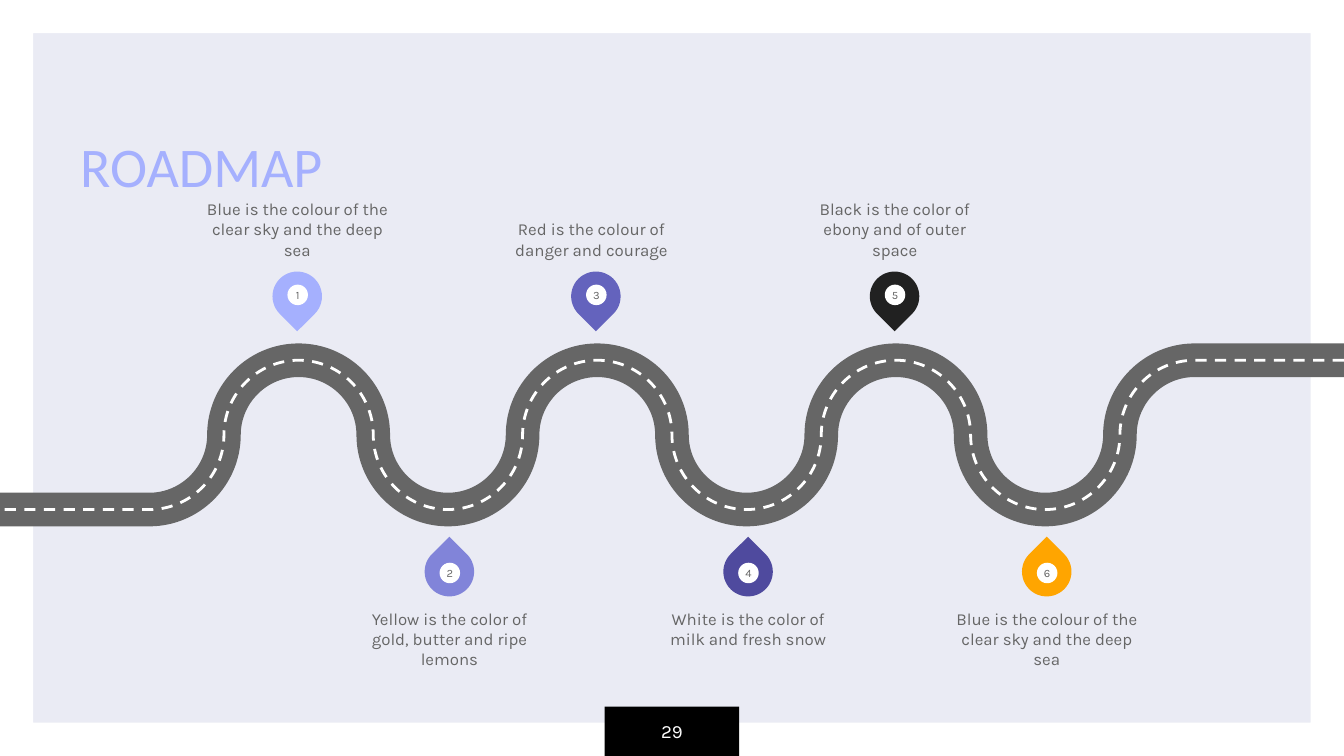
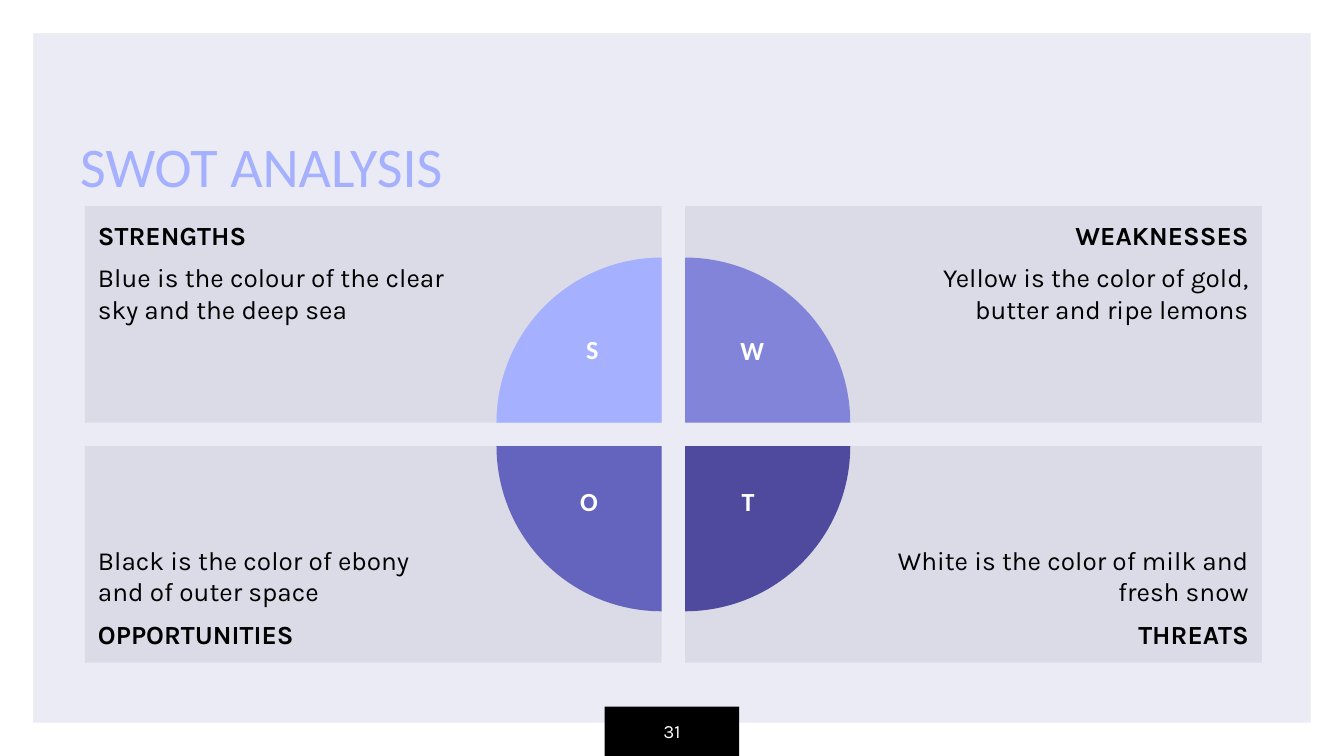
"""Build a roadmap slide and a SWOT slide."""
import dataclasses

import pptx
import pptx.dml.color
import pptx.enum.dml
import pptx.enum.shapes
import pptx.enum.text
import pptx.oxml
import pptx.oxml.ns
import pptx.util

PRESET = pptx.enum.shapes.MSO_SHAPE
ALIGN = pptx.enum.text.PP_ALIGN
ANCHOR = pptx.enum.text.MSO_ANCHOR
DASH = pptx.enum.dml.MSO_LINE.DASH
EMU_PER_PX = 6350


@dataclasses.dataclass(frozen=True)
class Theme:
    """Colours, fonts and type sizes shared by the slides."""

    ground: str = "EAEBF4"
    panel: str = "DADBE6"
    white: str = "FFFFFF"
    black: str = "000000"
    grey: str = "666666"
    periwinkle: str = "A5B0FE"
    lavender: str = "8184D9"
    violet: str = "6463BD"
    indigo: str = "4F4A9E"
    ink: str = "212121"
    orange: str = "FFA500"
    heading: str = "Calibri"
    body: str = "Karla"
    title_size: int = 30
    text_size: int = 14
    page_size: int = 10
    caption_size: int = 9
    pin_size: int = 6


@dataclasses.dataclass(frozen=True)
class Box:
    """A region of the slide in px."""

    x: int
    y: int
    w: int
    h: int

    def emu(self):
        """Return the box as left, top, width and height in EMU."""
        return [px(n) for n in (self.x, self.y, self.w, self.h)]


THEME = Theme()
SLIDE = Box(0, 0, 1440, 810)
PAD = 14

STOPS = [
    ("Blue is the colour of the clear sky and the deep sea", THEME.periwinkle, 0),
    ("Yellow is the color of gold, butter and ripe lemons", THEME.lavender, 0),
    ("Red is the colour of danger and courage", THEME.violet, -5),
    ("White is the color of milk and fresh snow", THEME.indigo, 0),
    ("Black is the color of ebony and of outer space", THEME.ink, 0),
    ("Blue is the colour of the clear sky and the deep sea", THEME.orange, 0),
]

QUADRANTS = [
    ("S", "STRENGTHS", "Blue is the colour of the clear sky and the deep sea",
     THEME.periwinkle, 0, 0, 0, Box(-75, -103, 40, 68)),
    ("W", "WEAKNESSES", "Yellow is the color of gold, butter and ripe lemons",
     THEME.lavender, 1, 0, 90, Box(72, -102, 88, 65)),
    ("T", "THREATS", "White is the color of milk and fresh snow",
     THEME.indigo, 1, 1, 180, Box(67, 35, 45, 65)),
    ("O", "OPPORTUNITIES", "Black is the color of ebony and of outer space",
     THEME.violet, 0, 1, 270, Box(-78, 35, 48, 68)),
]


def px(length):
    """Convert px to EMU."""
    return pptx.util.Emu(length * EMU_PER_PX)


def rgb(colour):
    """Convert a hex string to a colour."""
    return pptx.dml.color.RGBColor.from_string(colour)


def apply(target, values):
    """Set each format value on the target."""
    for name, value in values.items():
        setattr(target, name, value)


def add_block(shapes, preset, box, fill, rotation=0, adjustments=()):
    """Add a flat preset shape without an outline."""
    block = shapes.add_shape(preset, *box.emu())
    block.shadow.inherit = False
    block.fill.solid()
    block.fill.fore_color.rgb = rgb(fill)
    block.line.fill.background()
    block.rotation = rotation
    for i, value in enumerate(adjustments):
        block.adjustments[i] = value
    return block


def write(shape, lines, size, colour, font=THEME.body, align=ALIGN.LEFT,
          anchor=ANCHOR.TOP, insets=(0, 0, 0, 0)):
    """Write lines of (text, bold, space around) into a shape."""
    frame = shape.text_frame
    left, top, right, bottom = map(px, insets)
    apply(frame, {"word_wrap": True, "vertical_anchor": anchor,
                  "margin_left": left, "margin_top": top,
                  "margin_right": right, "margin_bottom": bottom})
    for i, (text, bold, space) in enumerate(lines):
        paragraph = frame.add_paragraph() if i else frame.paragraphs[0]
        gap = pptx.util.Pt(space)
        apply(paragraph, {"alignment": align, "space_before": gap, "space_after": gap})
        run = paragraph.add_run()
        run.text = text
        apply(run.font, {"name": font, "size": pptx.util.Pt(size), "bold": bold})
        run.font.color.rgb = rgb(colour)


def add_label(slide, box, text, size, colour, bold=False, **layout):
    """Add a text box holding one paragraph."""
    write(slide.shapes.add_textbox(*box.emu()), [(text, bold, 0)], size, colour, **layout)


def add_page(deck, box, title, number):
    """Add a slide with the frame, title and page number."""
    slide = deck.slides.add_slide(deck.slide_layouts[6])
    add_block(slide.shapes, PRESET.FRAME, box, THEME.white, adjustments=[0.044])
    tab = Box(box.x + (box.w - 144) // 2, box.y + box.h - 53, 144, 53)
    write(add_block(slide.shapes, PRESET.RECTANGLE, tab, THEME.black),
          [(number, False, 0)], THEME.page_size, THEME.white,
          align=ALIGN.CENTER, anchor=ANCHOR.MIDDLE, insets=[PAD] * 4)
    add_label(slide, Box(box.x + 72, box.y + 92, 809, 135), title, THEME.title_size,
              THEME.periwinkle, font=THEME.heading, anchor=ANCHOR.BOTTOM, insets=[PAD] * 4)
    return slide


def road_points(box):
    """Return the end points and Bezier controls of the winding road."""
    radius, pull = box.h // 2, 44
    right = box.x + box.w - 2 * radius
    heights = [box.y, box.y + radius, box.y + box.h, box.y + radius]
    points = [(right, box.y)]
    for i in range(14):
        x0, y0, y1 = right - i * radius, heights[i % 4], heights[(i + 1) % 4]
        x1, down = x0 - radius, 1 if y1 > y0 else -1
        if i % 2:
            controls = [(x0, y0 + down * pull), (x1 + pull, y1)]
        else:
            controls = [(x0 - pull, y0), (x1, y1 - down * pull)]
        points += [*controls, (x1, y1)]
    return points + [(box.x, box.y + box.h)]


def add_road(slide, box, colour, width, dash=None):
    """Draw the road as one line whose bends are Bezier curves."""
    builder = slide.shapes.build_freeform(box.x + box.w, box.y, scale=EMU_PER_PX)
    builder.add_line_segments(road_points(box), close=False)
    road = builder.convert_to_shape()
    road.shadow.inherit = False
    road.fill.background()
    road.line.color.rgb = rgb(colour)
    apply(road.line, {"width": pptx.util.Pt(width), "dash_style": dash})
    segments = list(road._element.iter(pptx.oxml.ns.qn("a:lnTo")))[1:-1]
    for i in range(0, len(segments), 3):
        curve = pptx.oxml.parse_xml(f"<a:cubicBezTo {pptx.oxml.ns.nsdecls('a')}/>")
        segments[i].addprevious(curve)
        for segment in segments[i:i + 3]:
            curve.append(segment[0])
            segment.getparent().remove(segment)


def add_pin(slide, box, number, colour, above):
    """Add a numbered pin pointing at the road."""
    shapes = slide.shapes.add_group_shape().shapes
    add_block(shapes, PRESET.TEAR, box, colour, 135 if above else 315, [1])
    disc = Box(box.x + 16, box.y + (14 if above else 17), 22, 22)
    write(add_block(shapes, PRESET.OVAL, disc, THEME.white), [(number, False, 0)],
          THEME.pin_size, THEME.grey, align=ALIGN.CENTER, anchor=ANCHOR.MIDDLE)


def add_roadmap(slide, box):
    """Draw the road with its pins and captions above and below."""
    add_road(slide, box, THEME.grey, 18)
    add_road(slide, box, THEME.white, 1.5, DASH)
    for i, (caption, colour, shift) in enumerate(STOPS):
        above = i % 2 == 0
        centre = box.x + (318 if above else 481) + i // 2 * 320
        pin_y = box.y - 95 if above else box.y + box.h + 40
        add_pin(slide, Box(centre - 26, pin_y, 53, 53), str(i + 1), colour, above)
        caption_y = box.y - 192 if above else box.y + box.h + 106
        add_label(slide, Box(centre - 101 + shift, caption_y, 203, 84), caption,
                  THEME.caption_size, THEME.grey, align=ALIGN.CENTER,
                  anchor=ANCHOR.BOTTOM if above else ANCHOR.TOP)


def add_swot(slide, box):
    """Draw four panels around a quartered circle."""
    gap, radius = 25, 177
    width, height = (box.w - gap) // 2, (box.h - gap) // 2
    for _, heading, body, _, col, row, _, _ in QUADRANTS:
        panel = Box(box.x + col * (width + gap), box.y + row * (height + gap), width, height)
        lines = [(heading, True, 6 * row), (body, False, 6 * (1 - row))]
        write(add_block(slide.shapes, PRESET.RECTANGLE, panel, THEME.panel),
              lines[::-1] if row else lines, THEME.text_size, THEME.black,
              align=ALIGN.RIGHT if col else ALIGN.LEFT,
              anchor=ANCHOR.BOTTOM if row else ANCHOR.TOP,
              insets=(216, PAD, PAD, PAD) if col else (PAD, PAD, 216, PAD))
    for letter, _, _, colour, col, row, turn, spot in QUADRANTS:
        x, y = box.x + width + col * gap, box.y + height + row * gap
        add_block(slide.shapes, PRESET.PIE, Box(x - radius, y - radius, 2 * radius, 2 * radius),
                  colour, turn, [108, 162])
        add_label(slide, Box(x + spot.x - spot.w // 2, y + spot.y, spot.w, spot.h), letter,
                  THEME.text_size, THEME.white, bold=True, font=THEME.heading,
                  align=ALIGN.CENTER, insets=(PAD, 7, PAD, 7))


def main():
    """Build and save the deck."""
    deck = pptx.Presentation()
    apply(deck, {"slide_width": px(SLIDE.w), "slide_height": px(SLIDE.h)})
    ground = deck.slide_master.background.fill
    ground.solid()
    ground.fore_color.rgb = rgb(THEME.ground)
    add_roadmap(add_page(deck, SLIDE, "ROADMAP", "29"), Box(0, 386, 1440, 160))
    add_swot(add_page(deck, SLIDE, "SWOT ANALYSIS", "31"), Box(91, 221, 1261, 489))
    deck.save("out.pptx")


if __name__ == "__main__":
    main()
